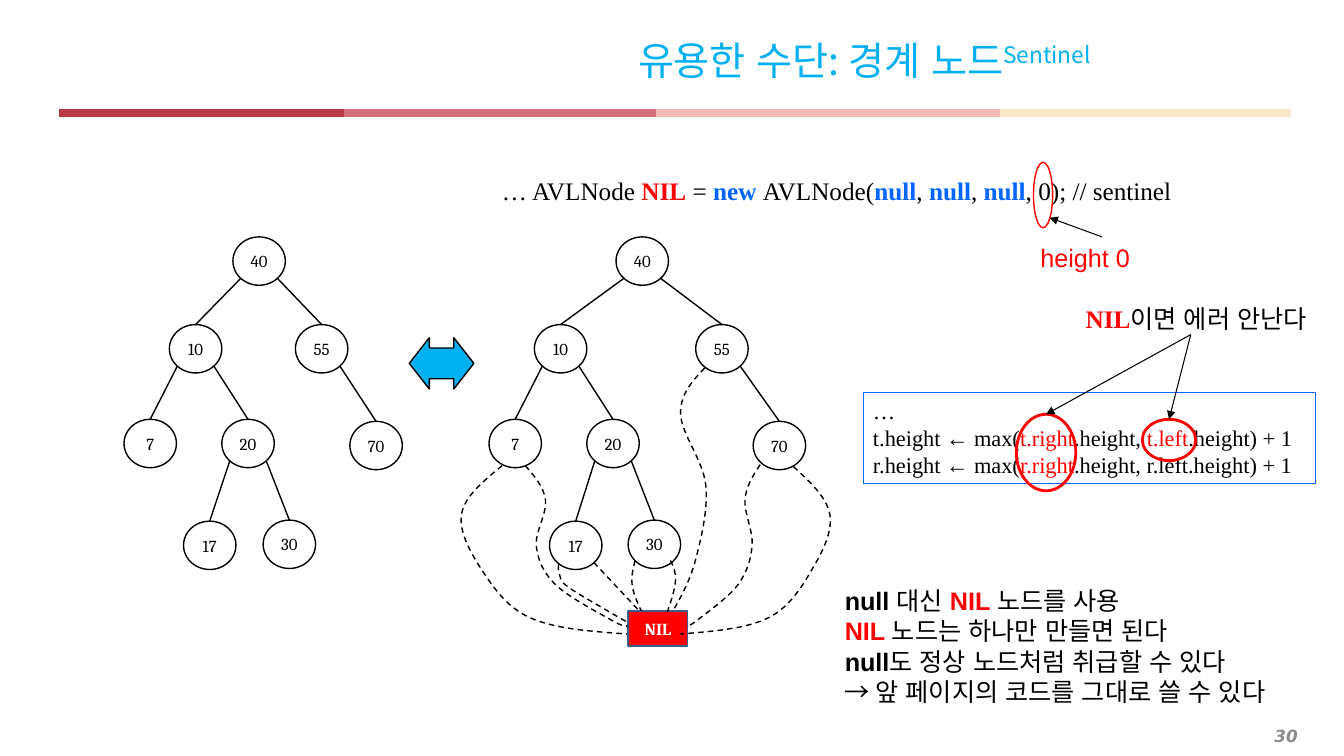
"""Build the slide on sentinel nodes in AVL trees."""
from dataclasses import dataclass
from typing import NamedTuple

from lxml import etree
from pptx import Presentation
from pptx.dml.color import RGBColor
from pptx.enum.dml import MSO_LINE
from pptx.enum.shapes import MSO_CONNECTOR, MSO_SHAPE
from pptx.enum.text import MSO_ANCHOR, PP_ALIGN
from pptx.oxml.ns import qn
from pptx.util import Inches, Pt

OVAL, RECT = MSO_SHAPE.OVAL, MSO_SHAPE.RECTANGLE
ARROW = MSO_SHAPE.LEFT_RIGHT_ARROW
STRAIGHT = MSO_CONNECTOR.STRAIGHT
DASH = MSO_LINE.DASH
TOP, MIDDLE = MSO_ANCHOR.TOP, MSO_ANCHOR.MIDDLE
LEFT, CENTER, RIGHT = PP_ALIGN.LEFT, PP_ALIGN.CENTER, PP_ALIGN.RIGHT

BLACK, RED, BLUE, SKY = "000000", "FF0000", "0066FF", "00B0F0"
SERIF, SANS, HANGUL, NODE = "Times New Roman", "Arial", "Noto Sans CJK KR", "Cambria"
WIDE, HIGH = 0.52, 0.48

Point = tuple[float, float]
Box = tuple[float, float, float, float]


class Run(NamedTuple):
    text: str
    color: str = BLACK
    bold: bool = False
    font: str = ""
    italic: bool = False
    lift: int = 0


@dataclass
class Label:
    box: Box
    font: str
    size: int
    lines: list[list[Run]]
    wrap: bool = True
    anchor: MSO_ANCHOR = TOP
    align: PP_ALIGN = LEFT


@dataclass
class Knot:
    key: str
    parent: str
    side: float
    top: float
    lefts: tuple[float, float]


class Bar(NamedTuple):
    start: float
    end: float
    color: str


BARS = [Bar(3.1, 6.51, "D37079"), Bar(6.51, 9.92, "F2B8B4"),
        Bar(9.92, 12.8, "F8E6C7"), Bar(0.59, 3.41, "B93945")]

NEAR, FAR = 0.08, 0.44
KNOTS = [
    Knot("40", "", 0, 2.35, (2.31, 6.11)),
    Knot("10", "40", NEAR, 3.22, (1.68, 5.3)),
    Knot("55", "40", FAR, 3.22, (2.93, 6.9)),
    Knot("7", "10", NEAR, 4.16, (1.23, 4.85)),
    Knot("20", "10", FAR, 4.16, (2.2, 5.82)),
    Knot("70", "55", FAR, 4.18, (3.47, 7.47)),
    Knot("17", "20", NEAR, 5.17, (1.82, 5.45)),
    Knot("30", "20", FAR, 5.16, (2.61, 6.23)),
]

CURVES: list[list[Point]] = [
    [(5.21, 4.62), (5.41, 4.96), (5.32, 5.42), (5.51, 5.8), (6.06, 6.15), (6.23, 6.21)],
    [(7.87, 4.63), (8.23, 5.1), (8.06, 5.64), (7.62, 6.13), (6.75, 6.29)],
    [(4.98, 4.62), (4.58, 5.09), (4.77, 5.64), (5.26, 6.13), (6.22, 6.29)],
    [(7.54, 4.61), (7.39, 4.95), (7.46, 5.41), (7.32, 5.8), (6.92, 6.15), (6.8, 6.21)],
    [(6.99, 3.65), (6.75, 4.1), (7, 4.81), (6.9, 5.55), (6.67, 6.07)],
    [(6.65, 5.56), (6.7, 5.76), (6.62, 6.07)],
    [(5.54, 5.6), (5.55, 5.7), (5.63, 5.82), (6.06, 6.08), (6.22, 6.17)],
    [(6.3, 5.56), (6.27, 5.8), (6.36, 6.06)],
]

NULL, COMMA = Run("null", BLUE, True), Run(", ")
NIL = Run("NIL ", RED, True)
LABELS = [
    Label((0.2, 7.14, 12.77, 0.31), "DejaVu Sans", 12,
          [[Run("30", "8C8C8C", True, italic=True)]], anchor=MIDDLE, align=RIGHT),
    Label((6.23, 0.25, 6.57, 0.68), HANGUL, 28,
          [[Run("유용한 수단: 경계 노드", SKY), Run("Sentinel", SKY, lift=30000)]],
          anchor=MIDDLE),
    Label((4.88, 1.69, 6.93, 0.4), SERIF, 18,
          [[Run("… AVLNode "), Run("NIL", RED, True), Run(" = "),
            Run("new ", BLUE, True), Run("AVLNode("), NULL, COMMA, NULL, COMMA,
            NULL, Run(", 0); // sentinel")]]),
    Label((8.28, 5.76, 4.72, 1.31), SANS, 18,
          [[Run("null", bold=True), Run(" 대신 "), NIL, Run("노드를 사용")],
           [NIL, Run("노드는 하나만 만들면 된다")],
           [Run("null", bold=True), Run("도 정상 노드처럼 취급할 수 있다")],
           [Run("→ ", font=SERIF), Run("앞 페이지의 코드를 그대로 쓸 수 있다")]], wrap=False),
    Label((10.22, 2.35, 1.1, 0.4), SANS, 18, [[Run("height 0", RED)]], wrap=False),
    Label((10.67, 2.96, 2.54, 0.4), SERIF, 18,
          [[Run("NIL", RED, True), Run("이면 에러 안난다")]], wrap=False),
]
CODE = Label((8.56, 3.89, 4.49, 0.91), SERIF, 16,
             [[Run("…")],
              [Run("t.height ← max("), Run("t.right", RED), Run(".height, "),
               Run("t.left", RED), Run(".height) + 1")],
              [Run("r.height ← max("), Run("r.right", RED),
               Run(".height, r.left.height) + 1")]])


def paint(hue: str) -> RGBColor:
    return RGBColor.from_string(hue)


def write(frame, label: Label) -> None:
    frame.word_wrap = label.wrap
    frame.vertical_anchor = label.anchor
    for i, runs in enumerate(label.lines):
        para = frame.paragraphs[0] if i == 0 else frame.add_paragraph()
        para.alignment = label.align
        for item in runs:
            run = para.add_run()
            run.text = item.text
            font = run.font
            font.name, font.size = item.font or label.font, Pt(label.size)
            font.bold, font.italic = item.bold, item.italic
            font.color.rgb = paint(item.color)
            props = run._r.get_or_add_rPr()
            if max(item.text) >= "→":
                east = HANGUL if "→" in item.text else SANS
                etree.SubElement(props, qn("a:ea")).set("typeface", east)
            if item.lift:
                props.set("baseline", str(item.lift))


def shape(kind: MSO_SHAPE, box: Box, edge: str = BLACK, width: float = 1, fill: str = ""):
    form = slide.shapes.add_shape(kind, *map(Inches, box))
    form.shadow.inherit = False
    if fill:
        form.fill.solid()
        form.fill.fore_color.rgb = paint(fill)
    else:
        form.fill.background()
    form.line.color.rgb, form.line.width = paint(edge), Pt(width)
    return form


def badge(form, box: Box, run: Run) -> None:
    frame = form.text_frame
    frame.margin_left = frame.margin_right = frame.margin_top = frame.margin_bottom = 0
    write(frame, Label(box, NODE, 12, [[run]], anchor=MIDDLE, align=CENTER))


def link(start: Point, end: Point, color: str = BLACK, width: float = 1,
         goal=None, head: bool = False):
    wire = slide.shapes.add_connector(STRAIGHT, *map(Inches, start + end))
    if goal is not None:
        wire.end_connect(goal, 0)
    wire.line.color.rgb, wire.line.width = paint(color), Pt(width)
    if head:
        etree.SubElement(wire.line._get_or_add_ln(), qn("a:tailEnd")).set("type", "triangle")
    etree.SubElement(wire._element.spPr, qn("a:effectLst"))
    return wire


def curve(dots: list[Point]) -> None:
    """Draw a dashed smooth line through the dots."""
    last = len(dots) - 1
    slope = [tuple((b - a) / 6 for a, b in zip(dots[max(i - 1, 0)], dots[min(i + 1, last)]))
             for i in range(last + 1)]
    trace: list[Point] = []
    for i in range(last):
        p, q = dots[i], dots[i + 1]
        c = tuple(a + s for a, s in zip(p, slope[i]))
        d = tuple(b - s for b, s in zip(q, slope[i + 1]))
        if i == 0:
            c = tuple((a + b) / 2 for a, b in zip(p, d))
        if i == last - 1:
            d = tuple((a + b) / 2 for a, b in zip(c, q))
        trace += [c, d, q]
    pen = slide.shapes.build_freeform(*map(Inches, dots[0]))
    pen.add_line_segments([tuple(map(Inches, dot)) for dot in trace], close=False)
    form = pen.convert_to_shape()
    lines = list(form._element.iter(qn("a:lnTo")))
    for i in range(0, len(lines), 3):
        bend = etree.SubElement(lines[i].getparent(), qn("a:cubicBezTo"))
        for line in lines[i:i + 3]:
            bend.append(line[0])
            line.getparent().remove(line)
    form.shadow.inherit = False
    form.fill.background()
    form.line.color.rgb, form.line.width = paint(BLACK), Pt(1)
    form.line.dash_style = DASH


def tree(side: int) -> None:
    spots = {knot.key: knot for knot in KNOTS}
    for knot in KNOTS:
        box = (knot.lefts[side], knot.top, WIDE, HIGH)
        oval = shape(OVAL, box)
        badge(oval, box, Run(knot.key))
        if knot.parent:
            above = spots[knot.parent]
            start = (above.lefts[side] + knot.side, above.top + 0.41)
            link(start, (box[0] + WIDE / 2, knot.top), goal=oval)


deck = Presentation()
deck.slide_width, deck.slide_height = Inches(13.33), Inches(7.5)
slide = deck.slides.add_slide(deck.slide_layouts[6])

for bar in BARS:
    link((bar.start, 1.12), (bar.end, 1.12), bar.color, 6)
for side in (0, 1):
    tree(side)
nil = (6.23, 6.06, 0.59, 0.35)
badge(shape(RECT, nil, "3A5F8C", fill=RED), nil, Run("NIL", "FFFFFF", True))
for dots in CURVES:
    curve(dots)
link((5.89, 5.58), (6.34, 6.06)).line.dash_style = DASH
swap = shape(ARROW, (4.06, 3.35, 0.64, 0.51), fill=SKY)
swap.adjustments[0], swap.adjustments[1] = 0.6, 0.39

for label in LABELS:
    write(slide.shapes.add_textbox(*map(Inches, label.box)).text_frame, label)
write(shape(RECT, CODE.box, BLUE, 0.75).text_frame, CODE)
shape(OVAL, (10.25, 1.61, 0.19, 0.65), RED)
link((10.93, 2.35), (10.41, 2.16), width=0.75, head=True)
for box in ((11.33, 4.16, 0.53, 0.41), (10.08, 4.11, 0.59, 0.76)):
    ring = shape(OVAL, box, RED, 2)
    link((11.81, 3.32), (box[0] + box[2] / 2, box[1]), width=0.75, goal=ring, head=True)

deck.save("out.pptx")
